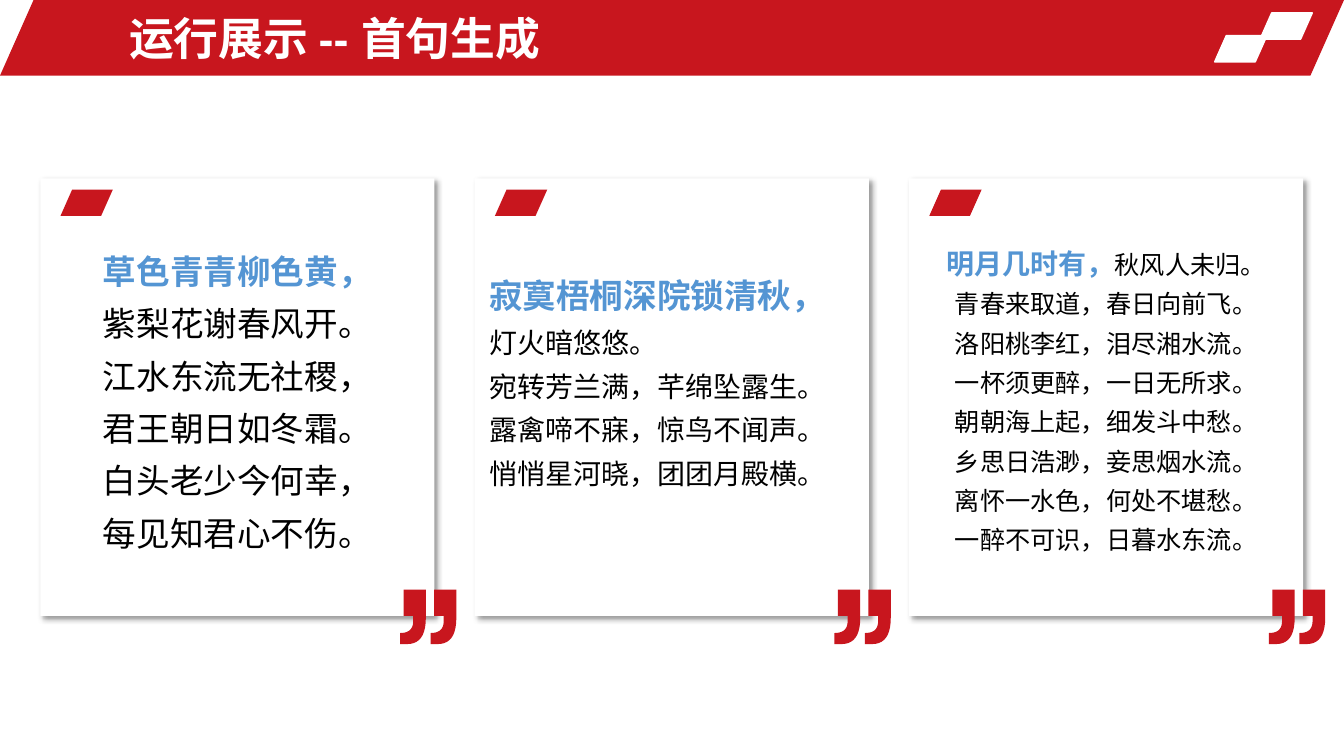
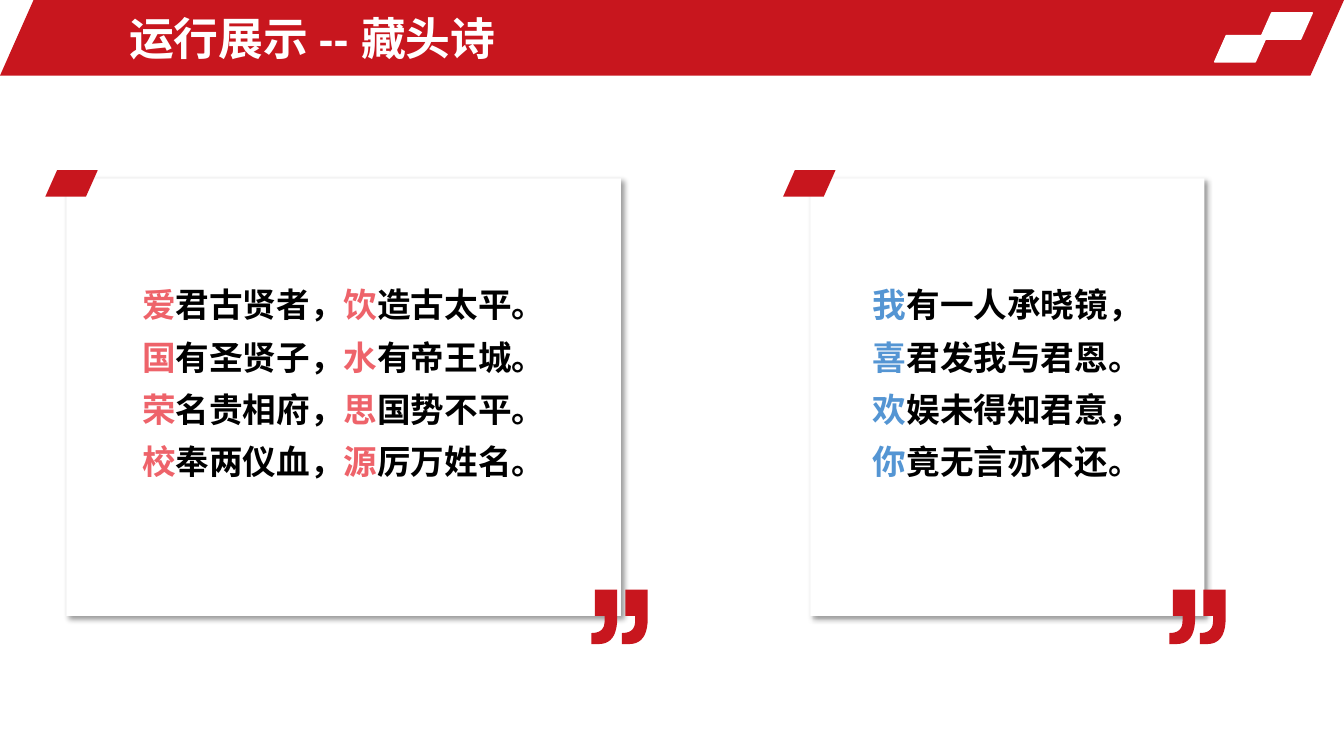
"""Build two slides that show generated poems on quotation cards."""
from lxml import etree
from pptx import Presentation
from pptx.dml.color import RGBColor
from pptx.enum.lang import MSO_LANGUAGE_ID
from pptx.enum.shapes import MSO_SHAPE
from pptx.enum.text import MSO_ANCHOR, MSO_AUTO_SIZE, PP_ALIGN
from pptx.oxml.ns import qn
from pptx.util import Pt

SLANT = MSO_SHAPE.PARALLELOGRAM
CARD = MSO_SHAPE.ROUNDED_RECTANGLE
LEFT, CENTER = PP_ALIGN.LEFT, PP_ALIGN.CENTER
MIDDLE = MSO_ANCHOR.MIDDLE
NO_FIT, GROW = MSO_AUTO_SIZE.NONE, MSO_AUTO_SIZE.SHAPE_TO_FIT_TEXT
CHINESE = MSO_LANGUAGE_ID.SIMPLIFIED_CHINESE

COLORS = {"red": "C8161E", "white": "FFFFFF", "black": "000000",
          "blue": "5495D3", "pink": "EE636A"}
FONT, ALT_FONT = "Arial", "Noto Sans"
TAG_W, TAG_H = 37.4, 18.8
CARD_TOP, CARD_W, CARD_H = 127.4, 281.5, 312.5
QUOTE_TOP, QUOTE_STEP = 421.2, 21.8


def add_box(s, kind, x, y, w, h, color, adj):
    sp = s.shapes.add_shape(kind, Pt(x), Pt(y), Pt(w), Pt(h))
    sp.adjustments[0] = adj
    sp.fill.solid()
    sp.fill.fore_color.rgb = RGBColor.from_string(COLORS[color])
    sp.line.fill.background()
    sp.shadow.inherit = False
    return sp


def curve(a, b, c, d, steps=10):
    ts = [i / steps for i in range(steps + 1)]
    return [tuple((1 - t) ** 3 * a[k] + 3 * t * (1 - t) ** 2 * b[k]
                  + 3 * t * t * (1 - t) * c[k] + t ** 3 * d[k] for k in (0, 1))
            for t in ts]


QUOTE = ([(18.4, 0)]
         + curve((18.4, 20.2), (18.4, 33.1), (13.7, 38.9), (5, 38.9))
         + [(0, 38.9)]
         + curve((0, 31), (6.5, 31), (9.4, 28.1), (9.4, 22.3))
         + [(9.4, 18.7), (2.5, 18.7), (2.5, 0)])

# In each line the parts between bars are highlighted and plain by turns.
SLIDES = [
    ("运行展示 -- 首句生成", [
        dict(x=28.8, tag=(14.4, 8), quote=-24.5, top=167, sizes=(24, 24), lines=[
            "草色青青柳色黄，", "|紫梨花谢春风开。", "|江水东流无社稷，",
            "|君王朝日如冬霜。", "|白头老少今何幸，", "|每见知君心不伤。"]),
        dict(x=339.1, tag=(14.4, 8), quote=-24.5, top=184.3, sizes=(24, 20),
             align=LEFT, lines=[
                 "寂寞梧桐深院锁清秋，", "|灯火暗||悠悠||。", "|宛转芳兰满，芊绵坠露生。",
                 "|露禽啼不寐，惊鸟不闻声。", "|悄悄星河晓，团团月殿横。"]),
        dict(x=649.4, tag=(14.4, 8), quote=-24.5, top=165, sizes=(20, 18), lines=[
            "明月几时有，|秋风人未归。", "|青春来取道，春日向前飞。",
            "|洛阳桃李红，泪尽湘水流。", "|一杯须更醉，一日无所求。",
            "|朝朝海上起，细发斗中愁。", "|乡思日浩渺，妾思烟水流。",
            "|离怀一水色，何处不堪愁。", "|一醉不可识，日暮水东流。"])]),
    ("运行展示 -- 藏头诗", [
        dict(x=47.5, w=396, tag=(-15.1, -5.8), quote=-21, top=190.8, sizes=(24, 24),
             color="pink", bold=True, lines=[
                 "爱|君古贤者，|饮|造古太平。", "国|有圣贤子，|水|有帝王城。",
                 "荣|名贵相府，|思|国势不平。", "校|奉两仪血，|源|厉万姓名。"]),
        dict(x=578.8, tag=(-19.4, -5.8), quote=-25, top=190.8, sizes=(24, 24),
             bold=True, lines=[
                 "我|有一人承晓镜，", "喜|君发我与君恩。",
                 "欢|娱未得知君意，", "你|竟无言亦不还。"])]),
]

prs = Presentation()
prs.slide_width, prs.slide_height = Pt(960), Pt(540)
layout = prs.slide_layouts[5]
for ph in list(layout.placeholders):
    if ph.placeholder_format.idx:
        ph.element.getparent().remove(ph.element)
    else:
        ph.left, ph.top, ph.width, ph.height = Pt(85), Pt(3.6), Pt(557), Pt(46.8)

slides = [prs.slides.add_slide(layout) for _ in SLIDES]
band = add_box(slides[0], SLANT, 0, 0, 960, 54, "red", 0.444)
layout.shapes.element.append(band.element)
for x, y in [(900, 9.2), (867.6, 25.4)]:
    sp = add_box(slides[0], SLANT, x, y, TAG_W, TAG_H, "white", 0.444)
    sp.line.color.rgb = RGBColor.from_string(COLORS["white"])
    sp.line.width = Pt(1)
    layout.shapes.element.append(sp.element)

for s, (title, cards) in zip(slides, SLIDES):
    tf = s.shapes.title.text_frame
    tf.text = title
    tf.auto_size = NO_FIT
    tf.vertical_anchor = MIDDLE
    p = tf.paragraphs[0]
    p.alignment = LEFT
    font = p.runs[0].font
    font.name, font.size, font.bold, font.language_id = FONT, Pt(32), True, CHINESE
    font.color.rgb = RGBColor.from_string(COLORS["white"])

    for card in cards:
        x, w = card["x"], card.get("w", CARD_W)
        sp = add_box(s, CARD, x, CARD_TOP, w, CARD_H, "white", 0)
        effects = sp.element.spPr.find(qn("a:effectLst"))
        shadow = etree.SubElement(effects, qn("a:outerShdw"), blurRad=str(Pt(4)),
                                  dist=str(Pt(3)), dir="2700000", algn="tl",
                                  rotWithShape="0")
        tint = etree.SubElement(shadow, qn("a:srgbClr"), val=COLORS["black"])
        etree.SubElement(tint, qn("a:alpha"), val="40000")
        dx, dy = card["tag"]
        add_box(s, SLANT, x + dx, CARD_TOP + dy, TAG_W, TAG_H, "red", 0.444)

        inset = w * 0.0115
        sp = s.shapes.add_textbox(Pt(x + inset), Pt(card["top"]),
                                  Pt(w - 2 * inset), Pt(170))
        tf = sp.text_frame
        tf.word_wrap = True
        tf.auto_size = GROW
        for i, line in enumerate(card["lines"]):
            p = tf.paragraphs[0] if i == 0 else tf.add_paragraph()
            p.alignment = card.get("align", CENTER)
            p.line_spacing = 1.3
            for j, part in enumerate(line.split("|")):
                if not part:
                    continue
                plain = j % 2
                r = p.add_run()
                r.text = part
                r.font.name = ALT_FONT if part == "悠悠" else FONT
                r.font.size = Pt(card["sizes"][plain])
                r.font.bold = card.get("bold", False) or not plain
                r.font.language_id = CHINESE
                color = "black" if plain else card.get("color", "blue")
                r.font.color.rgb = RGBColor.from_string(COLORS[color])
        sp.height = Pt(7.2 + sum(card["sizes"][1] * 1.57 for _ in card["lines"]))

        marks = [[(Pt(px + dx), Pt(py)) for px, py in QUOTE] for dx in (0, QUOTE_STEP)]
        fb = s.shapes.build_freeform(*marks[0][0])
        fb.add_line_segments(marks[0][1:])
        fb.move_to(*marks[1][0])
        fb.add_line_segments(marks[1][1:])
        sp = fb.convert_to_shape(Pt(x + w + card["quote"]), Pt(QUOTE_TOP))
        sp.fill.solid()
        sp.fill.fore_color.rgb = RGBColor.from_string(COLORS["red"])
        sp.line.fill.background()
        sp.shadow.inherit = False

prs.save("out.pptx")
